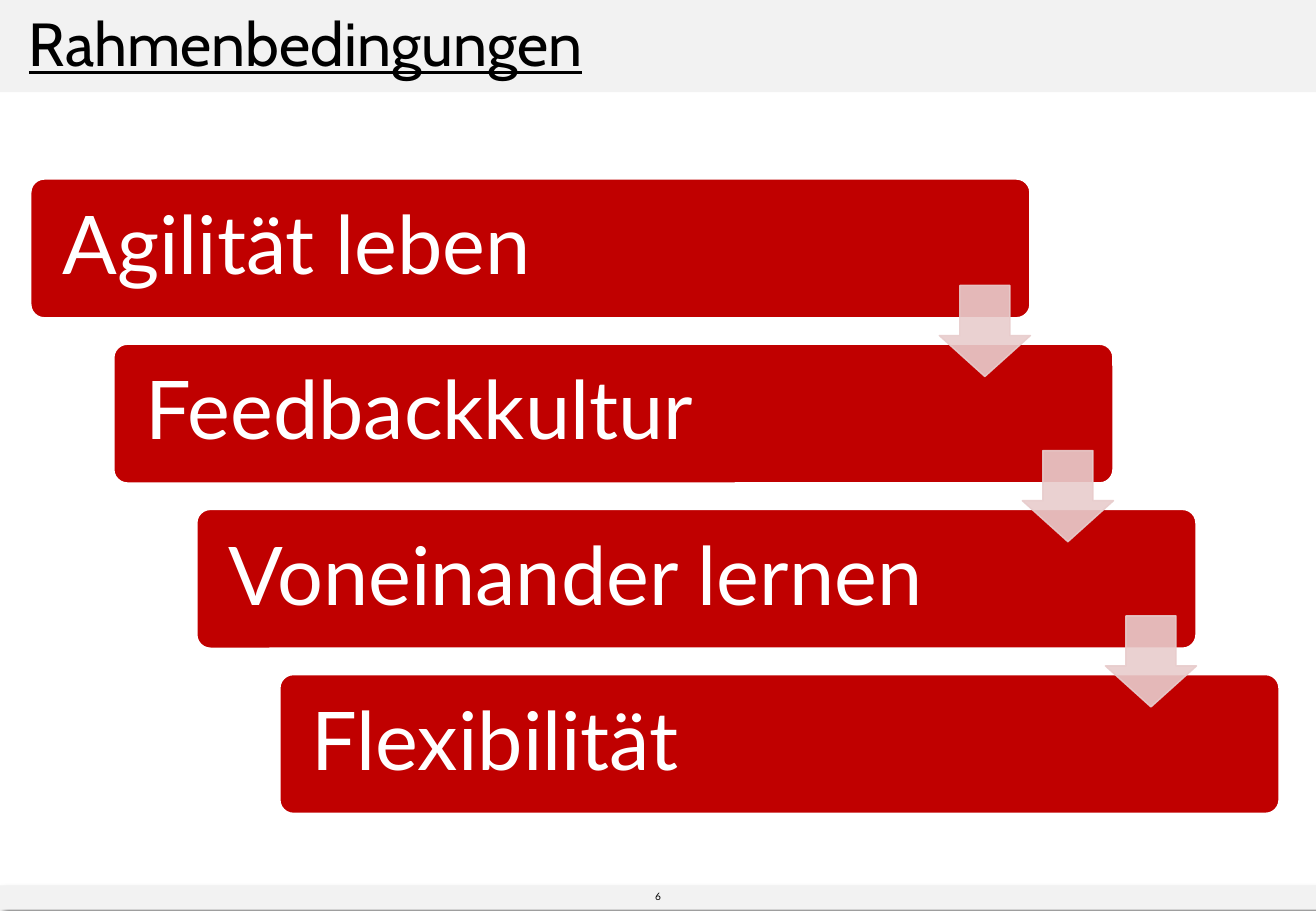
"""Build the slide of stepped framework conditions."""
from lxml import etree
from pptx import Presentation
from pptx import util as u
from pptx.dml.color import RGBColor
from pptx.enum import shapes, text
from pptx.oxml import ns

COLORS = {"band": "F2F2F2", "bar": "C00000", "arrow": "E8CCCC",
          "ink": "000000", "white": "FFFFFF"}
CONDITIONS = ["Agilität leben", "Feedbackkultur", "Voneinander lernen", "Flexibilität"]
STEP_X, STEP_Y = 2.05 / 3, 1.36


def rgb(name):
    return RGBColor.from_string(COLORS[name])


def apply(target, values):
    for key, value in values.items():
        setattr(target, key, value)


def add_alpha(color, percent):
    alpha = etree.SubElement(color, ns.qn("a:alpha"))
    alpha.set("val", str(percent * 1000))


def add_block(slide, kind, box, fill, line=None, width=0, adjust=()):
    block = slide.shapes.add_shape(kind, *map(u.Inches, box))
    block.shadow.inherit = False
    block.fill.solid()
    block.fill.fore_color.rgb = rgb(fill)
    if line:
        block.line.color.rgb = rgb(line)
        block.line.width = u.Pt(width)
    else:
        block.line.fill.background()
    for index, value in enumerate(adjust):
        block.adjustments[index] = value
    return block


def write(holder, words, font, size, color, align=text.PP_ALIGN.LEFT,
          anchor=text.MSO_ANCHOR.MIDDLE, inset=0.1, spacing=1.0, underline=False):
    frame = holder.text_frame
    apply(frame, {"word_wrap": True, "vertical_anchor": anchor,
                  "margin_left": u.Inches(inset), "margin_right": u.Inches(inset),
                  "margin_top": 0, "margin_bottom": 0})
    paragraph = frame.paragraphs[0]
    apply(paragraph, {"alignment": align, "line_spacing": spacing})
    run = paragraph.add_run()
    run.text = words
    apply(run.font, {"name": font, "size": u.Pt(size), "underline": underline})
    run.font.color.rgb = rgb(color)


def add_label(slide, box, words, **style):
    label = slide.shapes.add_textbox(*map(u.Inches, box))
    write(label, words, **style)


def add_shadow(block):
    effects = block.element.spPr.find(ns.qn("a:effectLst"))
    shadow = etree.SubElement(effects, ns.qn("a:outerShdw"))
    for key, value in {"blurRad": u.Pt(4), "dist": u.Pt(3), "dir": 45 * 60000}.items():
        shadow.set(key, str(int(value)))
    color = etree.SubElement(shadow, ns.qn("a:srgbClr"))
    color.set("val", COLORS["ink"])
    add_alpha(color, 40)


def add_bar(slide, step, words):
    box = (0.25 + step * STEP_X, 1.47 + step * STEP_Y, 8.23, 1.15)
    bar = add_block(slide, shapes.MSO_SHAPE.ROUNDED_RECTANGLE, box, "bar",
                    "white", 1.35, [0.1])
    write(bar, words, "Lato", 48, "white", inset=0.23, spacing=0.9)


def add_arrow(slide, step):
    box = (7.73 + step * STEP_X, 2.35 + step * STEP_Y, 0.75, 0.75)
    arrow = add_block(slide, shapes.MSO_SHAPE.DOWN_ARROW, box, "arrow",
                      "arrow", 0.85, [0.55, 0.45])
    for color in arrow.element.spPr.iter(ns.qn("a:srgbClr")):
        add_alpha(color, 90)


def main():
    deck = Presentation()
    apply(deck, {"slide_width": u.Inches(10.83), "slide_height": u.Inches(7.5)})
    slide = deck.slides.add_slide(deck.slide_layouts[6])

    add_block(slide, shapes.MSO_SHAPE.RECTANGLE, (0, 0, 10.83, 0.76), "band")
    footer = add_block(slide, shapes.MSO_SHAPE.RECTANGLE, (0, 7.29, 10.83, 0.2), "band")
    add_shadow(footer)
    add_label(slide, (0.14, 0.05, 8.19, 0.7), "Rahmenbedingungen", font="Cabin",
              size=36, color="ink", anchor=text.MSO_ANCHOR.TOP, underline=True)
    add_label(slide, (4.18, 7.29, 2.47, 0.2), "6", font="Lato", size=6, color="ink",
              align=text.PP_ALIGN.CENTER, spacing=0.9)

    for step, words in enumerate(CONDITIONS):
        add_bar(slide, step, words)
    for step in range(len(CONDITIONS) - 1):
        add_arrow(slide, step)
    deck.save("out.pptx")


if __name__ == "__main__":
    main()
